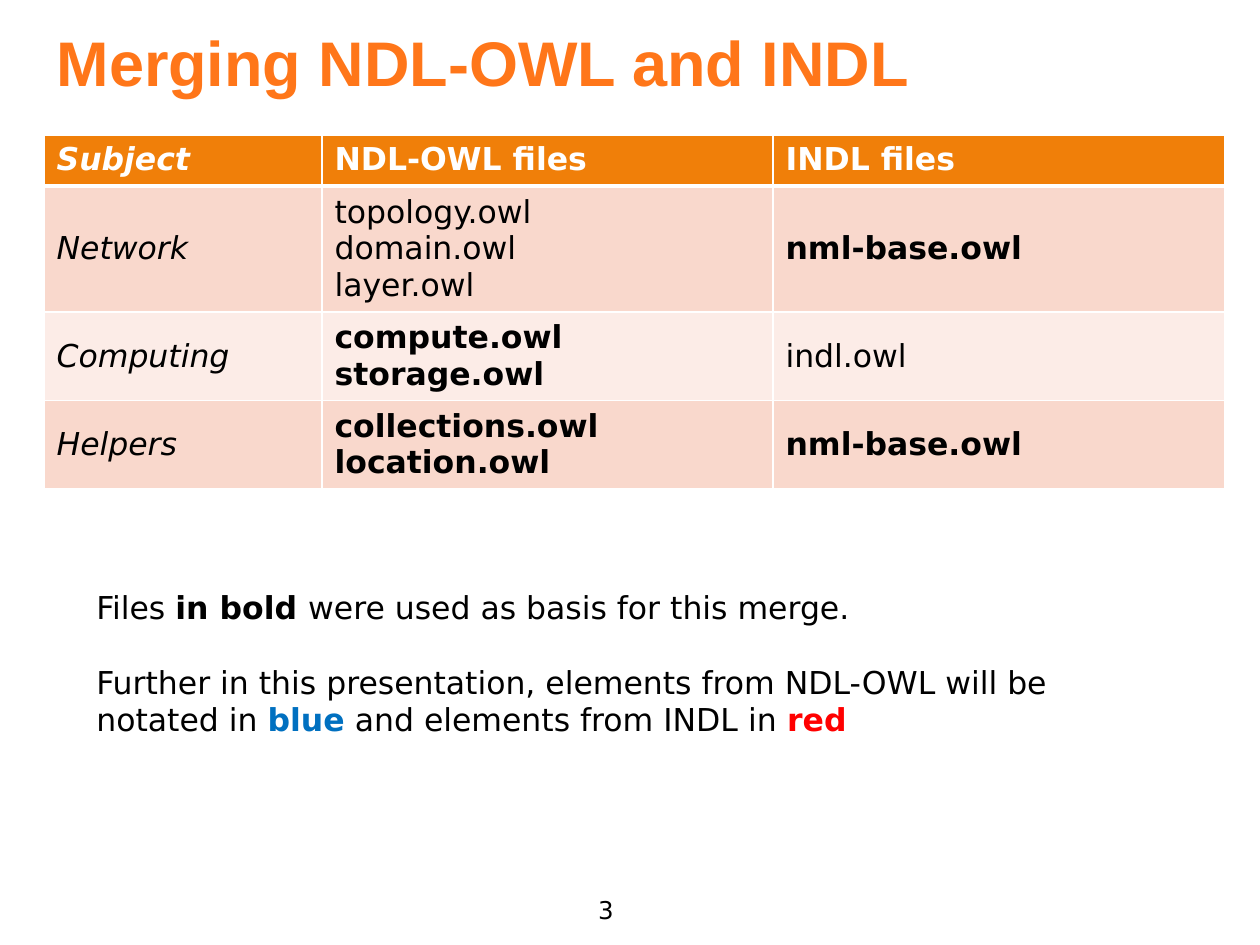
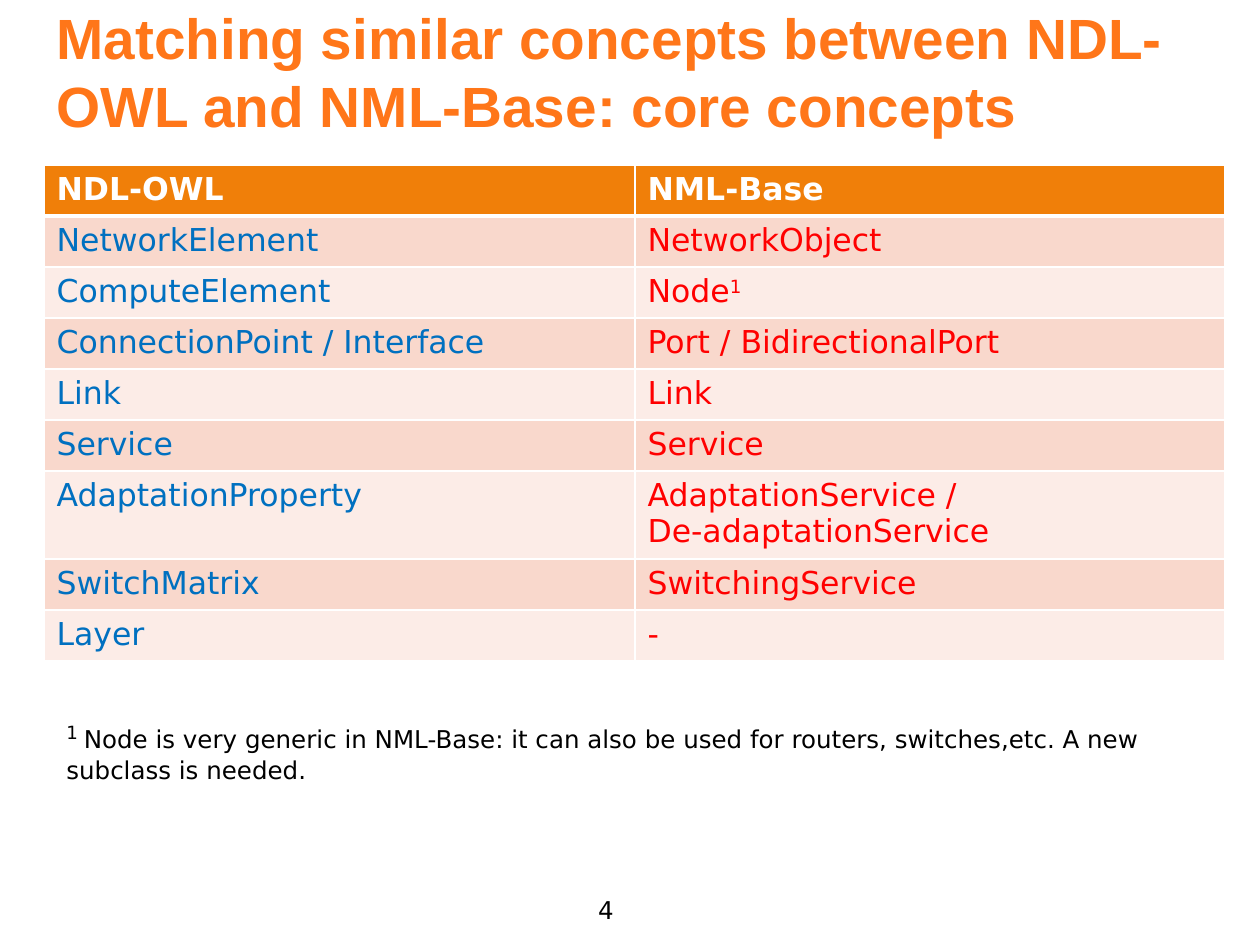
import lxml.etree
import pptx
import pptx.dml.color
import pptx.enum.text
import pptx.oxml.ns
import pptx.util

PX = 914400 / 126
ORANGE = pptx.dml.color.RGBColor(0xFF, 0x76, 0x19)
HEADER = pptx.dml.color.RGBColor(0xF0, 0x7F, 0x09)
BANDS = (pptx.dml.color.RGBColor(0xF9, 0xD8, 0xCC), pptx.dml.color.RGBColor(0xFC, 0xEC, 0xE7))
WHITE = pptx.dml.color.RGBColor(0xFF, 0xFF, 0xFF)
BLACK = pptx.dml.color.RGBColor(0, 0, 0)
BLUE = pptx.dml.color.RGBColor(0, 0x70, 0xC0)
RED = pptx.dml.color.RGBColor(0xFF, 0, 0)

TOP = pptx.enum.text.MSO_ANCHOR.TOP
MIDDLE = pptx.enum.text.MSO_ANCHOR.MIDDLE
BOTTOM = pptx.enum.text.MSO_ANCHOR.BOTTOM
LEFT = pptx.enum.text.PP_ALIGN.LEFT
CENTER = pptx.enum.text.PP_ALIGN.CENTER

BODY = {"name": "DejaVu Sans", "size": 18, "color": BLACK, "bold": False, "italic": False}
TITLE = {"name": "Arial", "size": 36, "color": ORANGE, "bold": True}
HEAD = {"color": WHITE, "bold": True}
BOLD = {"bold": True}
ITALIC = {"italic": True}
SUPER = {"raised": True}

FILES = [
    [("Subject", HEAD | ITALIC), ("NDL-OWL files", HEAD), ("INDL files", HEAD)],
    [("Network", ITALIC), ("topology.owl\ndomain.owl\nlayer.owl", {}), ("nml-base.owl", BOLD)],
    [("Computing", ITALIC), ("compute.owl\nstorage.owl", BOLD), ("indl.owl", {})],
    [("Helpers", ITALIC), ("collections.owl\nlocation.owl", BOLD), ("nml-base.owl", BOLD)],
]
CONCEPTS = [
    ("NetworkElement", "NetworkObject"),
    ("ComputeElement", "Node"),
    ("ConnectionPoint / Interface", "Port / BidirectionalPort"),
    ("Link", "Link"),
    ("Service", "Service"),
    ("AdaptationProperty", "AdaptationService / \nDe-adaptationService"),
    ("SwitchMatrix", "SwitchingService"),
    ("Layer", "-"),
]


def emu(pixels):
    """Turn px into EMU."""
    return pptx.util.Emu(round(pixels * PX))


def add_span(para, text, look):
    """Append text to a paragraph in the body style changed by look."""
    look = BODY | look
    for number, line in enumerate(text.split("\n")):
        if number:
            para.add_line_break()
        span = para.add_run()
        span.text = line
        for key in ("name", "bold", "italic"):
            setattr(span.font, key, look[key])
        span.font.size = pptx.util.Pt(look["size"])
        span.font.color.rgb = look["color"]
        if look.get("raised"):
            span._r.get_or_add_rPr().set("baseline", "30000")


def fill_frame(frame, paragraphs, align=LEFT, gap=0):
    """Write paragraphs of (text, look) spans with a gap in points between them."""
    frame.word_wrap = True
    for number, spans in enumerate(paragraphs):
        para = frame.add_paragraph() if number else frame.paragraphs[0]
        para.alignment = align
        para.space_before = pptx.util.Pt(gap if number else 0)
        for text, look in spans:
            add_span(para, text, look)


def add_text(page, box, paragraphs, align=LEFT, gap=0):
    """Add a text box."""
    note = page.shapes.add_textbox(*map(emu, box))
    fill_frame(note.text_frame, paragraphs, align, gap)


def add_page(deck, number, title, height, size):
    """Add a slide with its title and page number."""
    page = deck.slides.add_slide(deck.slide_layouts[5])
    heading = page.shapes.title
    place = zip(("left", "top", "width", "height"), (44, 4, 1181, height))
    for key, value in place:
        setattr(heading, key, emu(value))
    frame = heading.text_frame
    frame.auto_size = pptx.enum.text.MSO_AUTO_SIZE.NONE
    frame.vertical_anchor = BOTTOM
    fill_frame(frame, [[(title, TITLE | {"size": size})]])
    add_text(page, (551, 889, 110, 43), [[(str(number), {"size": 14})]], CENTER)
    return page


def add_borders(cell, row):
    """Draw white cell borders, with a heavy line below the header."""
    widths = {"lnL": 1, "lnR": 1, "lnT": 3 if row == 1 else 1, "lnB": 3 if row == 0 else 1}
    properties = cell._tc.get_or_add_tcPr()
    for side, width in widths.items():
        line = lxml.etree.SubElement(properties, pptx.oxml.ns.qn("a:" + side), w=str(width * 12700))
        solid = lxml.etree.SubElement(line, pptx.oxml.ns.qn("a:solidFill"))
        lxml.etree.SubElement(solid, pptx.oxml.ns.qn("a:srgbClr"), val=str(WHITE))


def add_grid(page, left, top, columns, heights, rows, anchor):
    """Add a banded table whose cells hold lists of spans."""
    box = (left, top, sum(columns), sum(heights))
    table = page.shapes.add_table(len(rows), len(columns), *map(emu, box)).table
    for column, width in zip(table.columns, columns):
        column.width = emu(width)
    for number, (cells, height) in enumerate(zip(rows, heights)):
        table.rows[number].height = emu(height)
        for index, spans in enumerate(cells):
            cell = table.cell(number, index)
            add_borders(cell, number)
            cell.fill.solid()
            cell.fill.fore_color.rgb = BANDS[(number - 1) % 2] if number else HEADER
            cell.vertical_anchor = anchor if number else TOP
            fill_frame(cell.text_frame, [spans])


def add_merging_page(deck):
    """Build the slide on the merged files."""
    page = add_page(deck, 3, "Merging NDL-OWL and INDL", 101, 36)
    rows = [[[cell] for cell in row] for row in FILES]
    add_grid(page, 44, 135, (278, 451, 452), (51, 122, 86, 86), rows, MIDDLE)
    add_text(page, (84, 582, 1081, 165), [
        [("Files ", {}), ("in bold ", BOLD), ("were used as basis for this merge.", {})],
        [("Further in this presentation, elements from NDL-OWL will be notated in ", {}),
         ("blue", BOLD | {"color": BLUE}),
         (" and elements from INDL in ", {}),
         ("red", BOLD | {"color": RED})],
    ], gap=21)


def add_matching_page(deck):
    """Build the slide on the matching concepts."""
    title = "Matching similar concepts between NDL-OWL and NML-Base: core concepts"
    page = add_page(deck, 4, title, 141, 32.4)
    rows = [[[("NDL-OWL", HEAD)], [("NML-Base", HEAD)]]]
    for source, target in CONCEPTS:
        match = [(target, {"color": RED})]
        if target == "Node":
            match.append(("1", SUPER | {"color": RED}))
        rows.append([[(source, {"color": BLUE})], match])
    heights = [51] + [86 if "\n" in target else 51 for _, target in CONCEPTS]
    add_grid(page, 44, 165, (591, 590), heights, rows, TOP)
    note = ("Node is very generic in NML-Base: it can also be used for routers, "
            "switches,etc. A new subclass is needed.")
    add_text(page, (54, 711, 1160, 72), [[("1 ", SUPER), (note, {"size": 14})]])


def main():
    """Build and save the deck."""
    deck = pptx.Presentation()
    deck.slide_width, deck.slide_height = emu(1260), emu(945)
    add_merging_page(deck)
    add_matching_page(deck)
    deck.save("out.pptx")


if __name__ == "__main__":
    main()
